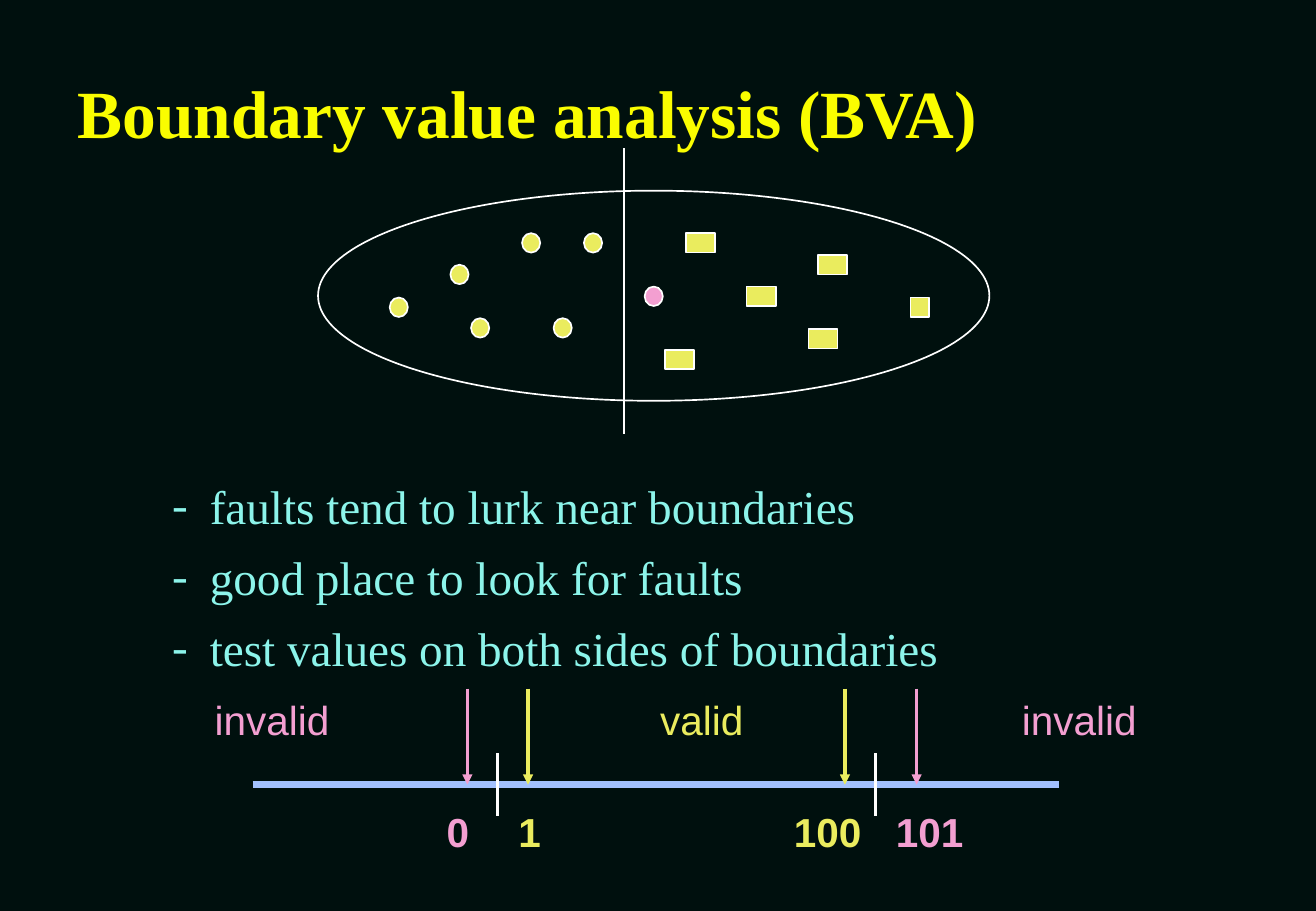
from lxml.etree import SubElement
from pptx import Presentation
from pptx.dml.color import RGBColor
from pptx.enum.shapes import MSO_CONNECTOR, MSO_SHAPE
from pptx.enum.text import MSO_ANCHOR, MSO_AUTO_SIZE, PP_ALIGN
from pptx.oxml.ns import qn
from pptx.util import Inches, Pt

WHITE, LIME, PINK = "FFFFFF", "EAEC5E", "F39FD1"
AQUA, BLUE = "8CF4EA", "A2C1FE"

deck = Presentation()
deck.slide_width, deck.slide_height = Inches(10.84), Inches(7.5)
slide = deck.slides.add_slide(deck.slide_layouts[5])
shapes = slide.shapes
slide.background.fill.solid()
slide.background.fill.fore_color.rgb = RGBColor.from_string("00100E")


def write(text, at, box=None, size=24, color=WHITE, face="Arial", bold=False,
          wrap=False, pad=(0.1, 0.05), anchor=MSO_ANCHOR.TOP, space=1.0,
          gap=0, bullet=None):
    place = [Inches(n) for n in at]
    if box is None:
        box = shapes.add_textbox(*place)
    box.left, box.top, box.width, box.height = place
    frame = box.text_frame
    frame.word_wrap = wrap
    frame.auto_size = MSO_AUTO_SIZE.NONE
    frame.vertical_anchor = anchor
    frame.margin_left = frame.margin_right = Inches(pad[0])
    frame.margin_top = frame.margin_bottom = Inches(pad[1])
    frame.text = text
    for i, para in enumerate(frame.paragraphs):
        if bullet:
            props = para._p.get_or_add_pPr()
            props.set("marL", str(Inches(0.82)))
            props.set("indent", str(Inches(-0.31)))
            tint = SubElement(props, qn("a:buClr"))
            SubElement(tint, qn("a:srgbClr"), val=color)
            SubElement(props, qn("a:buFont"), typeface=face)
            SubElement(props, qn("a:buChar"), char=bullet)
        para.alignment = PP_ALIGN.LEFT
        para.line_spacing = space
        para.space_before = Pt(gap if i else 0)
        font = para.runs[0].font
        font.name, font.size, font.bold = face, Pt(size), bold
        font.color.rgb = RGBColor.from_string(color)


def draw(kind, at, color=WHITE, width=1, fill=None, head=False):
    place = [Inches(n) for n in at]
    if kind == "line":
        item = shapes.add_connector(MSO_CONNECTOR.STRAIGHT, *place)
        SubElement(item._element.spPr, qn("a:effectLst"))
    else:
        item = shapes.add_shape(kind, *place)
        item.shadow.inherit = False
        if fill:
            item.fill.solid()
            item.fill.fore_color.rgb = RGBColor.from_string(fill)
        else:
            item.fill.background()
    item.line.color.rgb = RGBColor.from_string(color)
    item.line.width = Pt(width)
    if head:
        SubElement(item.line._get_or_add_ln(), qn("a:tailEnd"), type="triangle")


write("Boundary value analysis (BVA)", (0.54, 0.58, 9.21, 0.67), box=shapes.title,
      size=40, color="FAFD00", face="Times New Roman", bold=True, wrap=True,
      anchor=MSO_ANCHOR.MIDDLE)

draw(MSO_SHAPE.OVAL, (2.62, 1.57, 5.53, 1.73))
dots = [(4.3, 1.92), (3.21, 2.45), (4.81, 1.92), (3.88, 2.62), (3.71, 2.18), (4.56, 2.62)]
for x, y in dots:
    draw(MSO_SHAPE.OVAL, (x, y, 0.15, 0.16), fill=LIME)
draw(MSO_SHAPE.OVAL, (5.31, 2.36, 0.15, 0.16), fill=PINK)
draw("line", (5.14, 1.22, 5.14, 3.57))
draw(MSO_SHAPE.RECTANGLE, (7.5, 2.45, 0.15, 0.16), fill=LIME)
bricks = [(5.65, 1.92), (6.15, 2.36), (5.48, 2.88), (6.66, 2.71), (6.74, 2.1)]
for x, y in bricks:
    draw(MSO_SHAPE.RECTANGLE, (x, y, 0.24, 0.16), fill=LIME)

points = ["faults tend to lurk near boundaries", "good place to look for faults",
          "test values on both sides of boundaries"]
write("\n".join(points), (0.81, 3.85, 9.21, 1.87), size=28, color=AQUA,
      face="Times New Roman", wrap=True, pad=(0.1, 0.08), gap=8.6, bullet="-")

draw("line", (2.08, 6.46, 8.72, 6.46), color=BLUE, width=4)
for x in (4.1, 7.21):
    draw("line", (x, 6.2, x, 6.72), width=2)

values = [("1", 4.2, 0.32, 4.35, LIME), ("100", 6.47, 0.7, 6.96, LIME),
          ("0", 3.61, 0.32, 3.85, PINK), ("101", 7.31, 0.7, 7.55, PINK)]
for text, left, wide, x, color in values:
    write(text, (left, 6.66, wide, 0.42), color=color, bold=True,
          pad=(0.07, 0.03), space=0.9)
    draw("line", (x, 5.67, x, 6.46), color=color, width=2, head=True)

zones = [("valid", 5.34, 0.88, LIME), ("invalid", 8.32, 1.14, PINK),
         ("invalid", 1.67, 1.14, PINK)]
for text, left, wide, color in zones:
    write(text, (left, 5.67, wide, 0.5), color=color)

deck.save("out.pptx")
